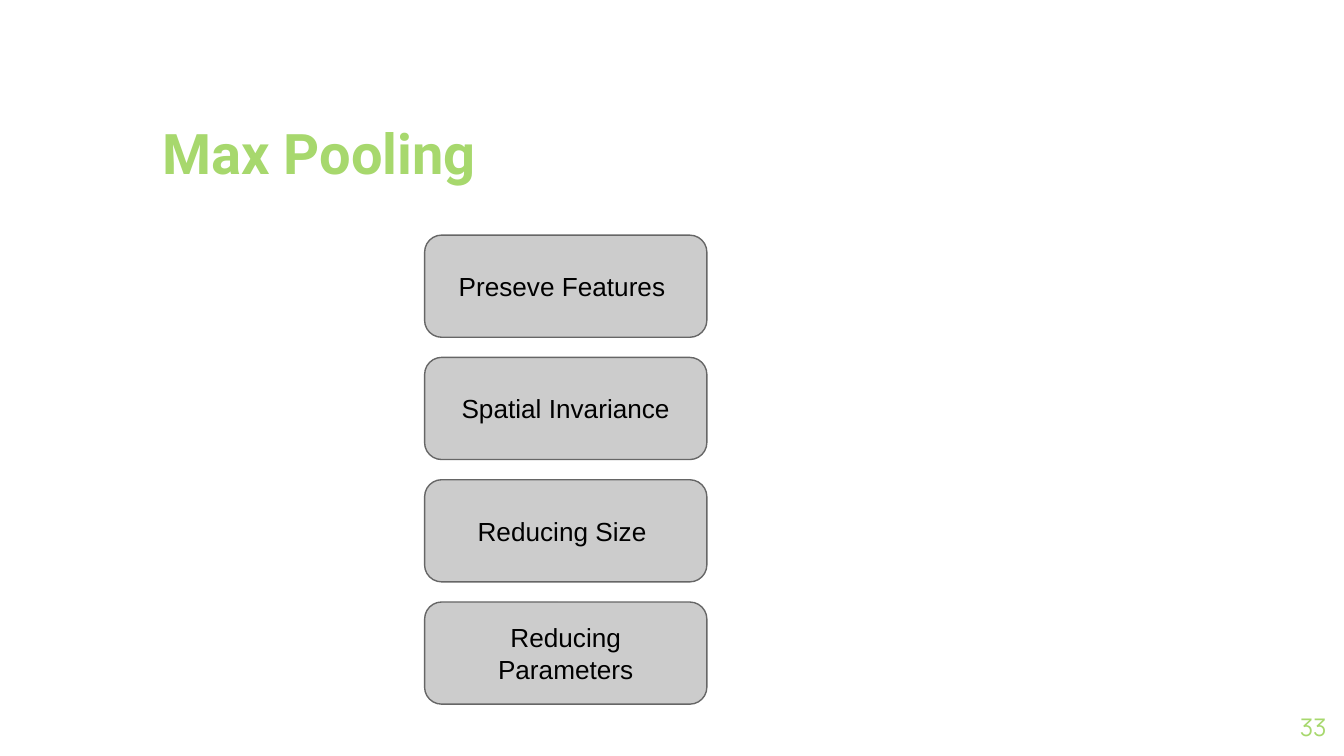
"""Build the Max Pooling slide: a title, a column of benefits and the page number."""
from dataclasses import dataclass

from pptx import Presentation
from pptx import util as u
from pptx.dml.color import RGBColor
from pptx.enum import shapes, text

WIDTH = 10
HEIGHT = WIDTH * 9 / 16
GREEN, GREY, DARK_GREY, BLACK = "A7D86D", "CCCCCC", "666666", "000000"
COLUMN_LEFT, COLUMN_TOP = 3.16, 1.75
CARD_WIDTH, CARD_HEIGHT, ROW_PITCH = 2.1, 0.76, 0.91
BENEFITS = ("Preseve Features ", "Spatial Invariance", "Reducing Size ", "Reducing Parameters")


@dataclass(frozen=True)
class Box:
    """Place of an item on the slide, in inches."""
    left: float
    top: float
    width: float
    height: float

    def lengths(self) -> list[u.Length]:
        """Return the place as python-pptx lengths."""
        return [u.Inches(n) for n in (self.left, self.top, self.width, self.height)]


@dataclass(frozen=True)
class Style:
    """Look of one piece of text."""
    font: str
    size: float
    color: str
    align: text.PP_ALIGN
    anchor: text.MSO_ANCHOR
    inset: float = 0.1
    bold: bool = False


TITLE = Style("Roboto", 30, GREEN, text.PP_ALIGN.LEFT, text.MSO_ANCHOR.TOP, bold=True)
BENEFIT = Style("Arial", 14, BLACK, text.PP_ALIGN.CENTER, text.MSO_ANCHOR.MIDDLE)
PAGE = Style("Manrope", 13, GREEN, text.PP_ALIGN.RIGHT, text.MSO_ANCHOR.MIDDLE, inset=0)


def rgb(color: str) -> RGBColor:
    """Turn a hex string into a colour."""
    return RGBColor.from_string(color)


def write(item, words: str, style: Style) -> None:
    """Put styled words into a shape or text box."""
    frame = item.text_frame
    frame.text = words
    frame.word_wrap = True
    frame.vertical_anchor = style.anchor
    frame.margin_left = frame.margin_right = u.Inches(style.inset)
    frame.margin_top = frame.margin_bottom = u.Inches(style.inset)
    paragraph = frame.paragraphs[0]
    paragraph.alignment = style.align
    for run in paragraph.runs:
        run.font.name = style.font
        run.font.size = u.Pt(style.size)
        run.font.bold = style.bold
        run.font.color.rgb = rgb(style.color)


def add_label(slide, box: Box, words: str, style: Style) -> None:
    """Add a plain text box."""
    write(slide.shapes.add_textbox(*box.lengths()), words, style)


def add_card(slide, row: int, words: str) -> None:
    """Add one rounded card in the given row of the column."""
    box = Box(COLUMN_LEFT, COLUMN_TOP + row * ROW_PITCH, CARD_WIDTH, CARD_HEIGHT)
    card = slide.shapes.add_shape(shapes.MSO_SHAPE.ROUNDED_RECTANGLE, *box.lengths())
    card.shadow.inherit = False
    card.fill.solid()
    card.fill.fore_color.rgb = rgb(GREY)
    card.line.color.rgb = rgb(DARK_GREY)
    card.line.width = u.Pt(0.75)
    write(card, words, BENEFIT)


def main() -> None:
    """Build and save the slide."""
    deck = Presentation()
    deck.slide_width, deck.slide_height = u.Inches(WIDTH), u.Inches(HEIGHT)
    slide = deck.slides.add_slide(deck.slide_layouts[6])
    add_label(slide, Box(9.27, 5.19, 0.6, 0.43), "33", PAGE)
    add_label(slide, Box(1.11, 0.78, 7.76, 0.78), "Max Pooling", TITLE)
    for row, benefit in enumerate(BENEFITS):
        add_card(slide, row, benefit)
    deck.save("out.pptx")


if __name__ == "__main__":
    main()
